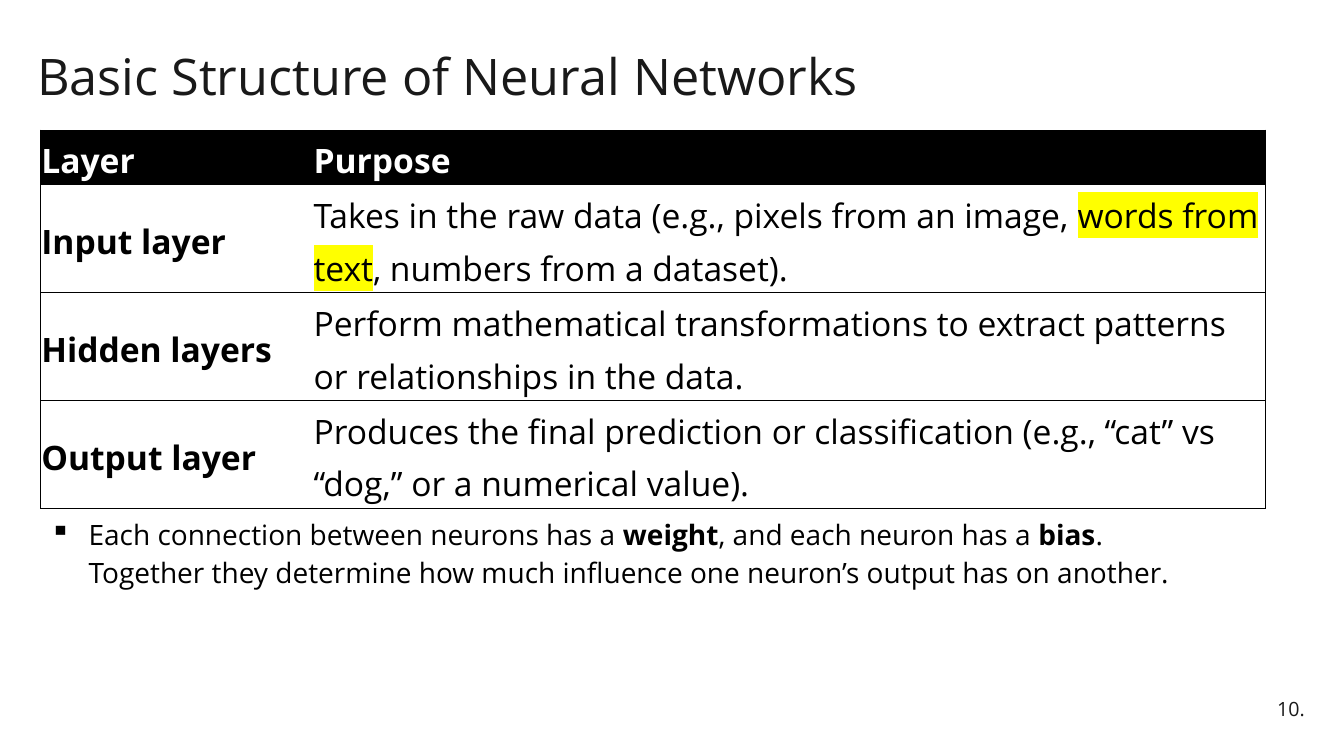
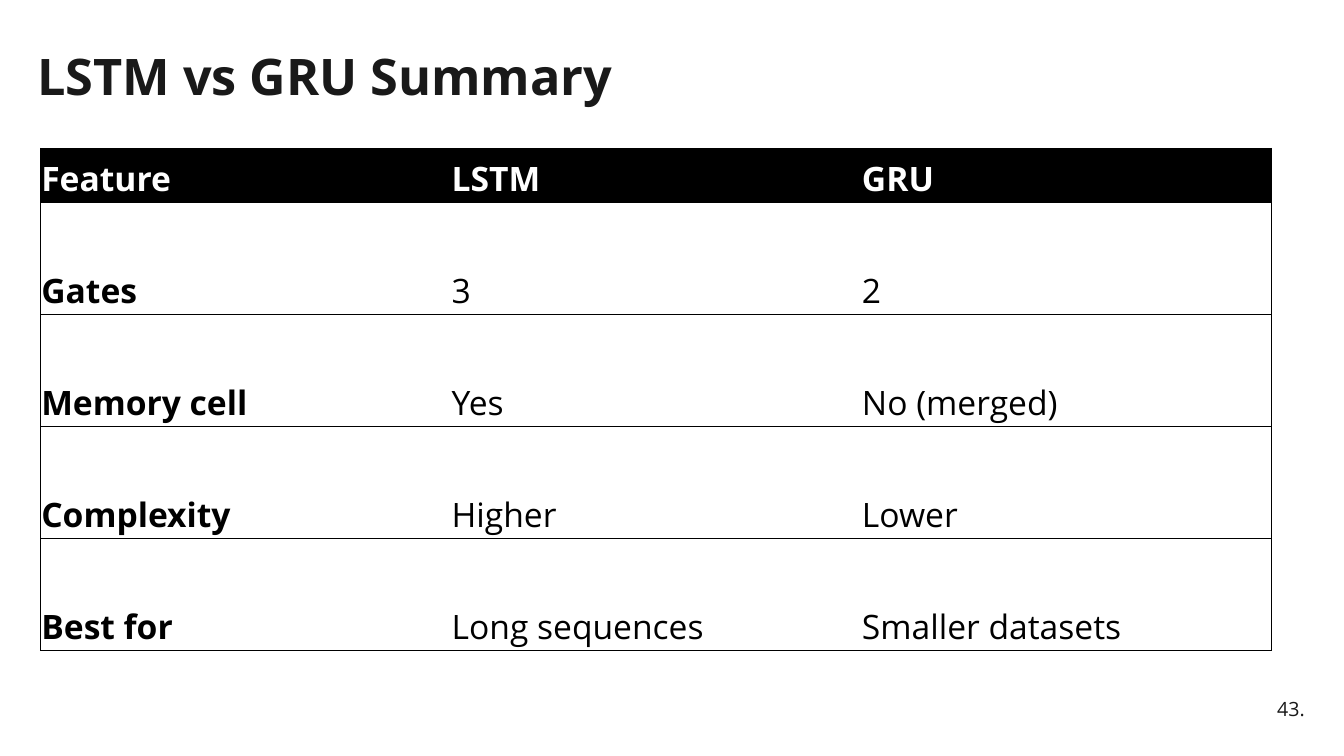
from lxml import etree
from pptx import Presentation
from pptx.dml.color import RGBColor
from pptx.enum.text import MSO_ANCHOR, PP_ALIGN
from pptx.oxml.ns import qn
from pptx.util import Inches, Pt

TOP, MIDDLE, BOTTOM = MSO_ANCHOR.TOP, MSO_ANCHOR.MIDDLE, MSO_ANCHOR.BOTTOM
LEFT, RIGHT = PP_ALIGN.LEFT, PP_ALIGN.RIGHT

FONT = "Open Sans"
INK, BLACK, WHITE, YELLOW = "191919", "000000", "FFFFFF", "FFFF00"
HEADER_HEIGHT = 0.54
BORDER = Pt(0.5)


def rgb(value):
    return RGBColor.from_string(value)


def add_highlight(run, color):
    highlight = etree.Element(qn("a:highlight"))
    etree.SubElement(highlight, qn("a:srgbClr"), val=color)
    run.font._element.find(qn("a:latin")).addprevious(highlight)


def write(p, text, size=24, color=BLACK, bold=False, align=LEFT, spacing=1.15, after=8):
    """Fill a paragraph from a string or a list of (text, bold, highlight) runs."""
    p.alignment, p.line_spacing, p.space_after = align, spacing, Pt(after)
    runs = [(text, bold, None)] if isinstance(text, str) else text
    for words, is_bold, highlight in runs:
        r = p.add_run()
        r.text = words
        r.font.size, r.font.name, r.font.bold = Pt(size), FONT, is_bold
        r.font.color.rgb = rgb(color)
        if highlight:
            add_highlight(r, highlight)


def add_text(slide, box, text, anchor=TOP, **fmt):
    tf = slide.shapes.add_textbox(*map(Inches, box)).text_frame
    tf.word_wrap = True
    tf.vertical_anchor = anchor
    p = tf.paragraphs[0]
    write(p, text, **fmt)
    return p


def add_bullet(slide, box, text):
    p = add_text(slide, box, text, size=20)
    pPr = p._p.get_or_add_pPr()
    pPr.set("marL", str(Inches(0.38)))
    pPr.set("indent", str(-Inches(0.38)))
    etree.SubElement(pPr, qn("a:buChar"), char="▪")


def set_borders(cell, visible_sides):
    tcPr = cell._tc.get_or_add_tcPr()
    for side in "LRTB":
        ln = etree.SubElement(tcPr, qn(f"a:ln{side}"), w=str(BORDER))
        if side in visible_sides:
            fill = etree.SubElement(ln, qn("a:solidFill"))
            etree.SubElement(fill, qn("a:srgbClr"), val=BLACK)
        else:
            etree.SubElement(ln, qn("a:noFill"))


def add_grid(slide, left, top, widths, row_height, rows, body_anchor):
    """Table with a black header row, bold first column and no inner vertical rules."""
    heights = [HEADER_HEIGHT] + [row_height] * (len(rows) - 1)
    box = (left, top, sum(widths), sum(heights))
    table = slide.shapes.add_table(len(rows), len(widths), *map(Inches, box)).table
    table.horz_banding = False
    for column, width in zip(table.columns, widths):
        column.width = Inches(width)
    for i, (row, height, texts) in enumerate(zip(table.rows, heights, rows)):
        row.height = Inches(height)
        header = i == 0
        for j, (cell, text) in enumerate(zip(row.cells, texts)):
            cell.margin_left = cell.margin_right = Inches(0.01)
            cell.margin_top = cell.margin_bottom = Inches(0.01)
            cell.vertical_anchor = MIDDLE if header else body_anchor
            sides = "TB" + ("L" if j == 0 else "") + ("R" if j == len(widths) - 1 else "")
            set_borders(cell, sides)
            cell.fill.solid()
            cell.fill.fore_color.rgb = rgb(BLACK if header else WHITE)
            write(cell.text_frame.paragraphs[0], text,
                  color=WHITE if header else BLACK, bold=header or j == 0)


def new_slide(prs, title, number, bold_title=False):
    slide = prs.slides.add_slide(prs.slide_layouts[6])
    add_text(slide, (0.27, 0.46, 11.5, 0.65), title, anchor=MIDDLE,
             size=36, color=INK, bold=bold_title, spacing=0.9, after=0)
    add_text(slide, (11.62, 6.85, 1.42, 0.4), number, anchor=MIDDLE,
             size=14, color=INK, align=RIGHT, spacing=0.9, after=0)
    return slide


def structure_slide(prs):
    slide = new_slide(prs, "Basic Structure of Neural Networks", "10.")
    add_grid(slide, 0.4, 1.29, [2.7, 9.45], 1.07, [
        ("Layer", "Purpose"),
        ("Input layer", [
            ("Takes in the raw data (e.g., pixels from an image, ", False, None),
            ("words from text", False, YELLOW),
            (", numbers from a dataset).", False, None)]),
        ("Hidden layers", "Perform mathematical transformations to extract patterns "
                          "or relationships in the data."),
        ("Output layer", "Produces the final prediction or classification "
                         "(e.g., “cat” vs “dog,” or a numerical value)."),
    ], MIDDLE)
    add_bullet(slide, (0.4, 5.03, 11.36, 0.85), [
        ("Each connection between neurons has a ", False, None),
        ("weight", True, None),
        (", and each neuron has a ", False, None),
        ("bias", True, None),
        (". Together they determine how much influence one neuron’s output "
         "has on another.", False, None)])


def summary_slide(prs):
    slide = new_slide(prs, "LSTM vs GRU Summary", "43.", bold_title=True)
    add_grid(slide, 0.4, 1.47, [4.07] * 3, 1.11, [
        ("Feature", "LSTM", "GRU"),
        ("Gates", "3", "2"),
        ("Memory cell", "Yes", "No (merged)"),
        ("Complexity", "Higher", "Lower"),
        ("Best for", "Long sequences", "Smaller datasets"),
    ], BOTTOM)


def main():
    prs = Presentation()
    prs.slide_width, prs.slide_height = Inches(13.33), Inches(7.5)
    structure_slide(prs)
    summary_slide(prs)
    prs.save("out.pptx")


if __name__ == "__main__":
    main()
